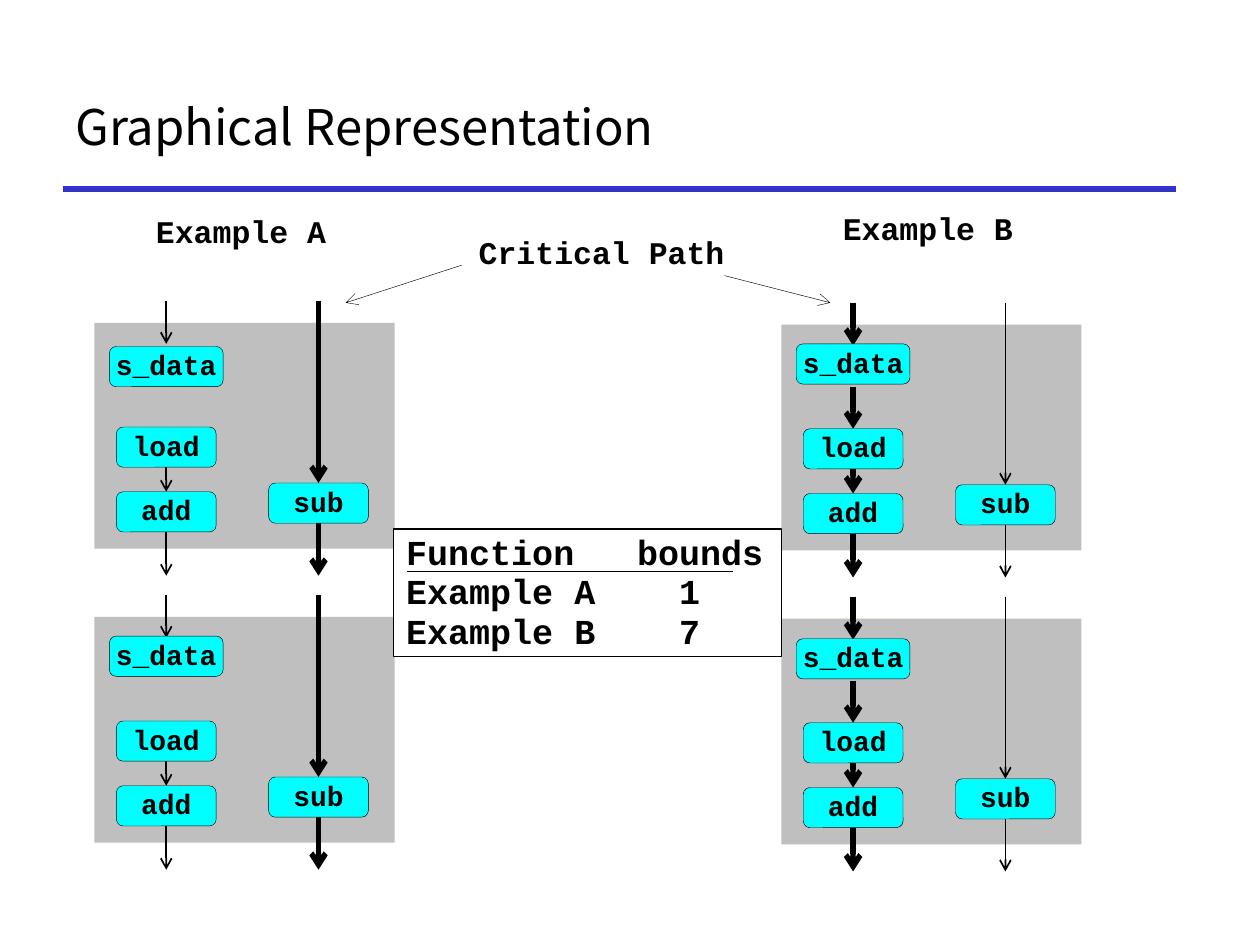
from typing import NamedTuple

from pptx import Presentation
from pptx.dml.color import RGBColor
from pptx.enum import shapes as kinds, text as texts
from pptx.oxml.ns import qn
from pptx.util import Pt
from lxml import etree

BLACK, WHITE, GREY, CYAN, BLUE = "000000", "FFFFFF", "BFBFBF", "00FFFF", "3333CC"
MONO = "Courier New"
LEFT, RIGHT = 41, 128  # lane centres within a panel
TOP, END = -12.5, 144.5  # lane ends relative to the panel top
BOX_H = 23
SUB, LOAD, ADD = 91.5, 59.5, 96.5  # box tops within a panel


class Panel(NamedTuple):
    x: float
    y: float
    store: float  # top of the s_data box
    left: float  # arrow weights of the two lanes
    right: float
    chained: bool  # s_data feeds load


class Label(NamedTuple):
    text: str
    x: float
    y: float
    wide: float
    align: texts.PP_ALIGN


PANELS = [
    Panel(54, 184.5, 13.5, 1, 3, False),
    Panel(54, 352.5, 11, 1, 3, False),
    Panel(446.5, 185.5, 11, 3, 1, True),
    Panel(446.5, 353.5, 11.5, 3, 1, True),
]
LABELS = [
    Label("Example A", 82, 120.25, 115, texts.PP_ALIGN.LEFT),
    Label("Example B", 474.5, 118.5, 115, texts.PP_ALIGN.LEFT),
    Label("Critical Path", 244, 131.75, 199.5, texts.PP_ALIGN.CENTER),
]
ROWS = [("Function", "bounds", 132), ("Example A", "1", 156), ("Example B", "7", 156)]


def color(target, value: str) -> None:
    if hasattr(target, "solid"):
        target.solid()
        target = target.fore_color
    elif hasattr(target, "color"):
        target = target.color
    target.rgb = RGBColor.from_string(value)


def assign(target, values: dict) -> None:
    for name, value in values.items():
        setattr(target, name, value)


def style(para, size: float, face: str = MONO, bold: bool = True) -> None:
    assign(para.font, {"size": Pt(size), "name": face, "bold": bold})
    color(para.font, BLACK)


def rule(slide, start: tuple, end: tuple, weight: float,
         hue: str = BLACK, arrow: bool = False) -> None:
    line = slide.shapes.add_connector(
        kinds.MSO_CONNECTOR.STRAIGHT, *map(Pt, start + end))
    line.line.width = Pt(weight)
    color(line.line, hue)
    props = line._element.spPr
    if arrow:
        etree.SubElement(props.find(qn("a:ln")), qn("a:tailEnd"), type="arrow")
    etree.SubElement(props, qn("a:effectLst"))


def block(slide, kind, x: float, y: float, wide: float, high: float,
          fill: str, edge: float = 0):
    shape = slide.shapes.add_shape(kind, Pt(x), Pt(y), Pt(wide), Pt(high))
    shape.shadow.inherit = False
    color(shape.fill, fill)
    if edge:
        shape.line.width = Pt(edge)
        color(shape.line, BLACK)
    else:
        shape.line.fill.background()
    return shape


def step(slide, name: str, mid: float, y: float, wide: float = 57) -> None:
    """Draw a named operation centred on its lane."""
    shape = block(slide, kinds.MSO_SHAPE.ROUNDED_RECTANGLE,
                  mid - wide / 2, y, wide, BOX_H, CYAN, 0.25)
    frame = shape.text_frame
    assign(frame, {
        "margin_left": 0, "margin_right": 0, "margin_top": 0, "margin_bottom": 0,
        "vertical_anchor": texts.MSO_ANCHOR.MIDDLE, "word_wrap": False,
    })
    para = frame.paragraphs[0]
    assign(para, {"text": name, "alignment": texts.PP_ALIGN.CENTER, "line_spacing": 0.9})
    style(para, 16)


def draw_panel(slide, panel: Panel) -> None:
    block(slide, kinds.MSO_SHAPE.RECTANGLE, panel.x, panel.y, 171.5, 129, GREY)
    spans = [
        (RIGHT, TOP, SUB, panel.right),
        (RIGHT, SUB + BOX_H, END, panel.right),
        (LEFT, TOP, 12, panel.left),
        (LEFT, LOAD + BOX_H, ADD, panel.left),
        (LEFT, ADD + BOX_H, END, panel.left),
    ]
    if panel.chained:
        spans.append((LEFT, 35.5, LOAD, panel.left))
    for lane, start, end, weight in spans:
        mid = panel.x + lane
        rule(slide, (mid, panel.y + start), (mid, panel.y + end), weight, arrow=True)
    for name, lane, y in (("sub", RIGHT, SUB), ("add", LEFT, ADD), ("load", LEFT, LOAD)):
        step(slide, name, panel.x + lane, panel.y + y)
    step(slide, "s_data", panel.x + LEFT, panel.y + panel.store, 65)


def draw_label(slide, label: Label) -> None:
    box = slide.shapes.add_textbox(Pt(label.x), Pt(label.y), Pt(label.wide), Pt(27))
    box.text_frame.word_wrap = True
    para = box.text_frame.paragraphs[0]
    assign(para, {"text": label.text, "alignment": label.align, "line_spacing": 0.9})
    style(para, 18)


def draw_bounds(slide) -> None:
    shape = block(slide, kinds.MSO_SHAPE.RECTANGLE, 225, 302.25, 221.5, 73, WHITE, 0.75)
    frame = shape.text_frame
    assign(frame, {"word_wrap": True, "vertical_anchor": texts.MSO_ANCHOR.TOP})
    for row, (name, value, stop) in enumerate(ROWS):
        para = frame.add_paragraph() if row else frame.paragraphs[0]
        assign(para, {
            "text": f"{name}\t{value}", "alignment": texts.PP_ALIGN.LEFT,
            "line_spacing": 0.9, "space_before": Pt(1 if row else 0),
        })
        tabs = etree.SubElement(para._p.get_or_add_pPr(), qn("a:tabLst"))
        etree.SubElement(tabs, qn("a:tab"), pos=str(Pt(stop)), algn="l")
        style(para, 20)
    rule(slide, (232.5, 326.5), (419, 326.5), 0.25)


def draw_title(slide) -> None:
    title = slide.shapes.title
    assign(title, {"left": Pt(36), "top": Pt(36), "width": Pt(636), "height": Pt(72)})
    title.text_frame.vertical_anchor = texts.MSO_ANCHOR.MIDDLE
    para = title.text_frame.paragraphs[0]
    assign(para, {"text": "Graphical Representation", "alignment": texts.PP_ALIGN.LEFT})
    style(para, 28, "Noto Sans CJK KR", False)
    rule(slide, (36, 108), (672, 108), 3, BLUE)


def main() -> None:
    deck = Presentation()
    assign(deck, {"slide_width": Pt(720), "slide_height": Pt(540)})
    slide = deck.slides.add_slide(deck.slide_layouts[5])
    draw_title(slide)
    for panel in PANELS:
        draw_panel(slide, panel)
    for label in LABELS:
        draw_label(slide, label)
    rule(slide, (264, 151.5), (197.5, 173), 0.25, arrow=True)
    rule(slide, (414, 157.5), (474.5, 173), 0.25, arrow=True)
    draw_bounds(slide)
    deck.save("out.pptx")


if __name__ == "__main__":
    main()
